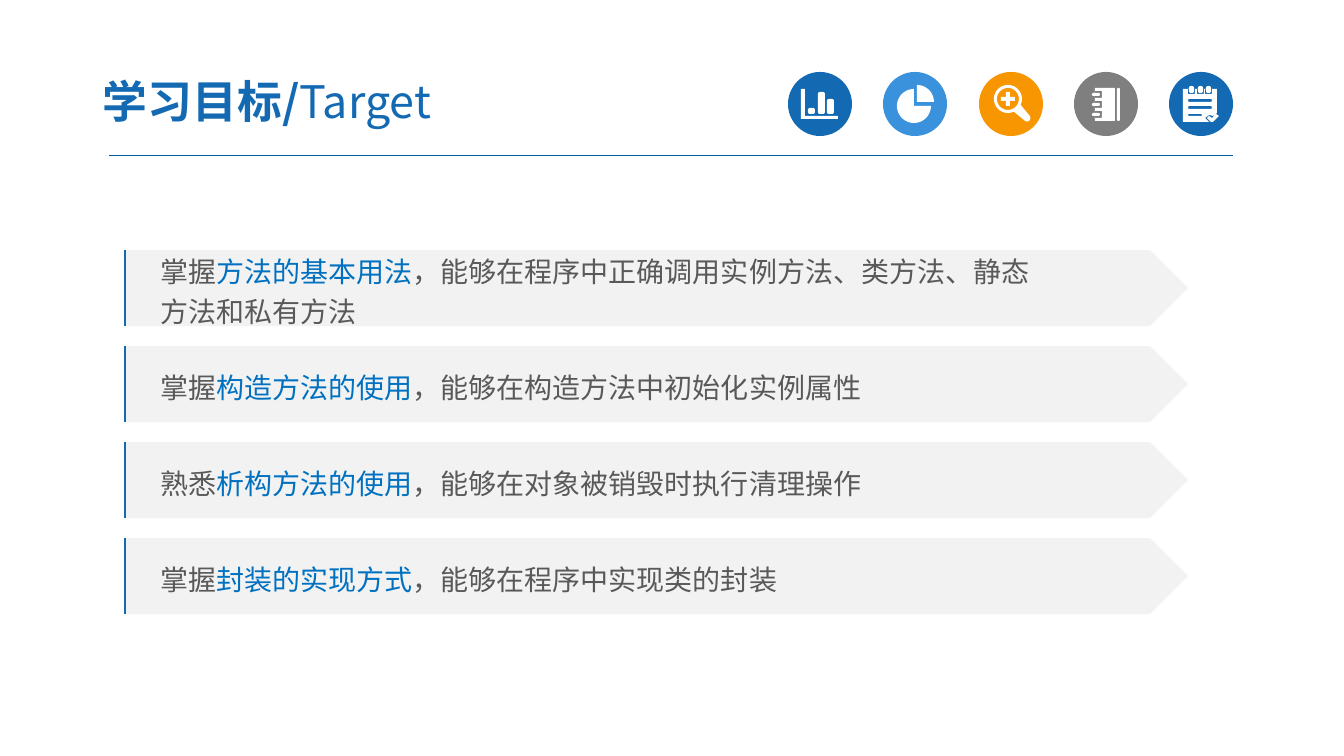
import math

import pptx
import pptx.dml.color
import pptx.enum.shapes
import pptx.enum.text
import pptx.oxml.ns
import pptx.util
from lxml import etree

RGB = pptx.dml.color.RGBColor
SHAPE = pptx.enum.shapes.MSO_SHAPE
BLUE = RGB(0x13, 0x69, 0xB2)
SKY = RGB(0x39, 0x92, 0xDB)
ORANGE = RGB(0xF7, 0x96, 0x00)
GRAY = RGB(0x7F, 0x7F, 0x7F)
WHITE = RGB(0xFF, 0xFF, 0xFF)
RULE = RGB(0x00, 0x5B, 0x9E)
PANEL = RGB(0xF2, 0xF2, 0xF2)
BODY = RGB(0x59, 0x59, 0x59)
ACCENT = RGB(0x00, 0x70, 0xC0)


def px(n):
    return round(n * 914400 / 100.8)


def box(x, y, w, h):
    return [(x, y), (x + w, y), (x + w, y + h), (x, y + h)]


def arc(cx, cy, radius, start, end, steps=48):
    angles = [math.radians(start + (end - start) * i / steps) for i in range(steps + 1)]
    return [(cx + radius * math.cos(a), cy + radius * math.sin(a)) for a in angles]


def bar(x, y, w, h, radius=2):
    radius = min(radius, w / 2, h / 2)
    left, right = x + radius, x + w - radius
    top, bottom = y + radius, y + h - radius
    corners = [(right, bottom, 0), (left, bottom, 90), (left, top, 180), (right, top, 270)]
    return [pt for cx, cy, a in corners for pt in arc(cx, cy, radius, a, a + 90, 6)]


def bar_chart():
    axes = [(13, 17), (17, 17), (17, 44), (50, 44), (50, 47), (13, 47)]
    return [axes] + [bar(x, y, 7, 42 - y) for x, y in [(20, 36), (30, 20), (39, 27)]]


def pie_chart():
    return [[(31, 34)] + arc(31, 34, 17, 0, 270), [(34, 30)] + arc(34, 30, 17, -90, 0)]


def magnifier():
    cross = [(-7, -2), (-2, -2), (-2, -7), (2, -7), (2, -2), (7, -2),
             (7, 2), (2, 2), (2, 7), (-2, 7), (-2, 2), (-7, 2)]
    return [arc(29, 27, 14, 65, 385) + arc(48, 46, 3.5, -45, 135),
            arc(29, 27, 11, 0, 360),
            [(29 + x, 27 + y) for x, y in cross]]


def notebook():
    contours = [box(21, 16, 20, 33), bar(43, 16, 3, 33)]
    for y in (22, 32, 42):
        contours += [box(21, y - 3, 7, 7), bar(18, y - 1, 8, 3)]
    return contours


def notepad():
    page = [(14, 17), (48, 17), (48, 41), (44, 44), (40, 43), (36, 46), (40, 50), (14, 50)]
    tick = [(40, 44), (43, 46), (47, 42), (50, 44), (44, 50), (42, 50), (38, 46)]
    contours = [page, tick, bar(19, 27, 24, 3), bar(19, 34, 24, 3), bar(19, 42, 14, 2)]
    for x in (19, 28, 36):
        contours += [box(x, 17, 7, 5), bar(x + 1, 14, 5, 7)]
    return contours


class Deck:
    font = "Noto Sans CJK SC"

    def __init__(self):
        self.prs = pptx.Presentation()
        self.prs.slide_width, self.prs.slide_height = px(1344), px(756)
        self.s = self.prs.slides.add_slide(self.prs.slide_layouts[6])

    def paint(self, sp, color):
        sp.shadow.inherit = False
        sp.fill.solid()
        sp.fill.fore_color.rgb = color
        sp.line.fill.background()

    def shape(self, kind, x, y, w, h, color):
        sp = self.s.shapes.add_shape(kind, px(x), px(y), px(w), px(h))
        self.paint(sp, color)
        return sp

    def line(self, x1, y1, x2, y2, color, width):
        c = self.s.shapes.add_connector(
            pptx.enum.shapes.MSO_CONNECTOR.STRAIGHT, px(x1), px(y1), px(x2), px(y2))
        c.line.color.rgb = color
        c.line.width = pptx.util.Pt(width)
        etree.SubElement(c._element.spPr, pptx.oxml.ns.qn("a:effectLst"))

    def icon(self, x, y, color, contours):
        self.shape(SHAPE.OVAL, x, y, 64, 64, color)
        outlines = [[(px(x + dx), px(y + dy)) for dx, dy in c] for c in contours]
        builder = self.s.shapes.build_freeform(*outlines[0][0])
        builder.add_line_segments(outlines[0][1:])
        for outline in outlines[1:]:
            builder.move_to(*outline[0])
            builder.add_line_segments(outline[1:])
        self.paint(builder.convert_to_shape(), WHITE)

    def frame(self, sp, left, side):
        tf = sp.text_frame
        tf.word_wrap = True
        tf.vertical_anchor = pptx.enum.text.MSO_ANCHOR.MIDDLE
        tf.margin_left, tf.margin_right = px(left), px(side)
        return tf

    def run(self, p, text, size, color, bold=False):
        r = p.add_run()
        r.text = text
        r.font.size = pptx.util.Pt(size)
        r.font.bold = bold
        r.font.color.rgb = color
        r.font.name = self.font
        ea = etree.SubElement(r.font._element, pptx.oxml.ns.qn("a:ea"))
        ea.set("typeface", self.font)

    def title(self, x, y, w, h, bold_text, text):
        sp = self.s.shapes.add_textbox(px(x), px(y), px(w), px(h))
        tf = self.frame(sp, 13, 13)
        tf.margin_top = tf.margin_bottom = px(7)
        p = tf.paragraphs[0]
        self.run(p, bold_text, 32, BLUE, True)
        self.run(p, text, 32, BLUE)

    def goal(self, y, paragraphs):
        sp = self.shape(SHAPE.PENTAGON, 124, y, 1064, 76, PANEL)
        tf = self.frame(sp, 36, 10)
        for i, runs in enumerate(paragraphs):
            p = tf.add_paragraph() if i else tf.paragraphs[0]
            p.alignment = pptx.enum.text.PP_ALIGN.LEFT
            p.line_spacing = 1.2
            for text, color in runs:
                self.run(p, text, 20, color)
        self.line(125, y, 125, y + 76, BLUE, 1.5)


def main():
    deck = Deck()
    deck.line(109, 156, 1233, 156, RULE, 0.75)
    icons = [(BLUE, bar_chart), (SKY, pie_chart), (ORANGE, magnifier),
             (GRAY, notebook), (BLUE, notepad)]
    for i, (color, drawing) in enumerate(icons):
        deck.icon(round(788 + 95.3 * i), 72, color, drawing())
    deck.title(90, 64, 526, 73, "学习目标/", "Target")

    goals = [
        ("掌握", "方法的基本用法", "，能够在程序中正确调用实例方法、类方法、静态", "方法和私有方法"),
        ("掌握", "构造方法的使用", "，能够在构造方法中初始化实例属性"),
        ("熟悉", "析构方法的使用", "，能够在对象被销毁时执行清理操作"),
        ("掌握", "封装的实现方式", "，能够在程序中实现类的封装"),
    ]
    for i, (verb, topic, outcome, *more) in enumerate(goals):
        first = [(verb, BODY), (topic, ACCENT), (outcome, BODY)]
        deck.goal(250 + 96 * i, [first] + [[(text, BODY)] for text in more])
    deck.prs.save("out.pptx")


if __name__ == "__main__":
    main()
